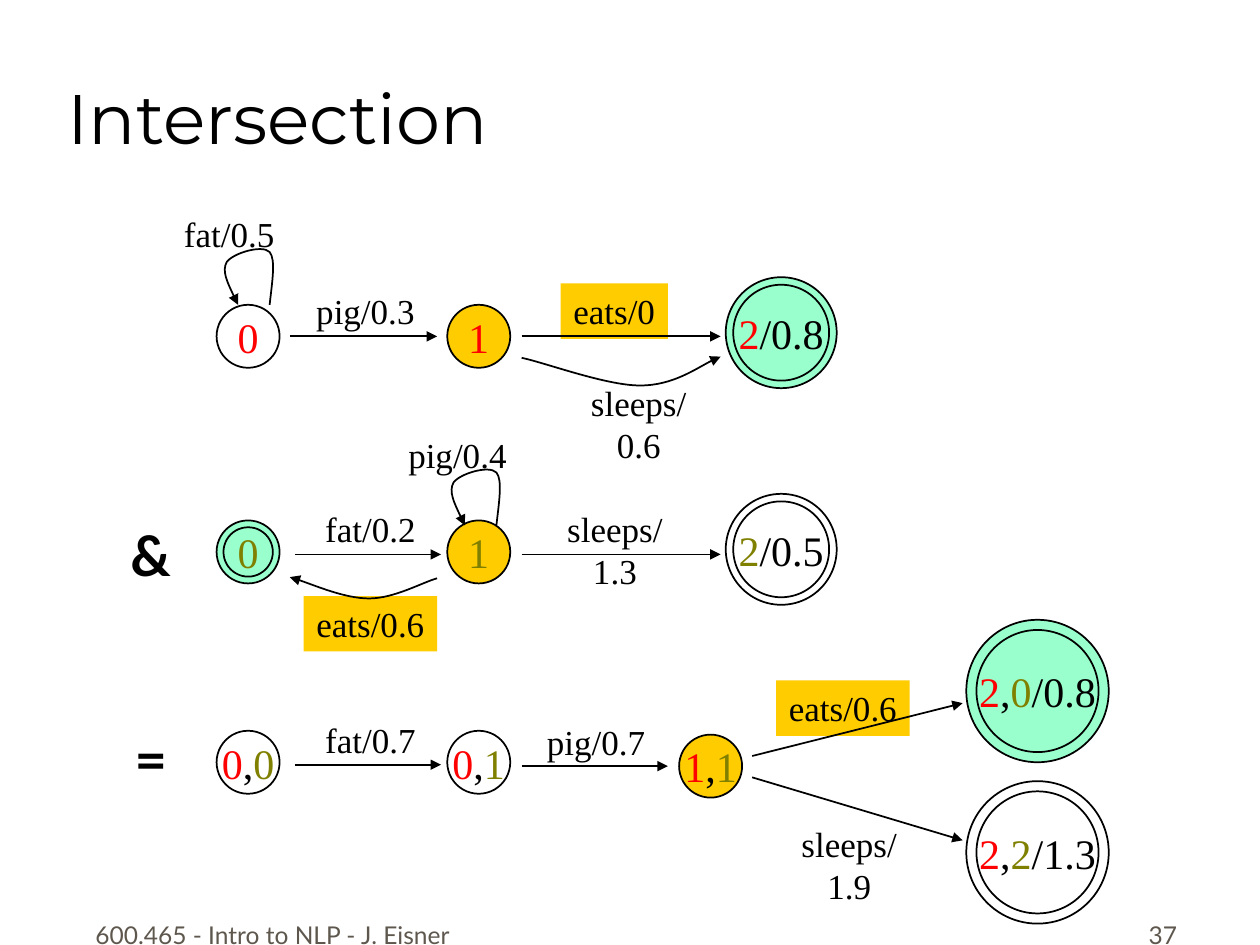
import pptx
import pptx.dml.color
import pptx.enum.shapes
import pptx.enum.text
import pptx.oxml.ns
import pptx.oxml.xmlchemy
import pptx.util

Pt = pptx.util.Pt
qn = pptx.oxml.ns.qn
new_element = pptx.oxml.xmlchemy.OxmlElement
color = pptx.dml.color.RGBColor.from_string
SHAPE = pptx.enum.shapes.MSO_SHAPE
ALIGN = pptx.enum.text.PP_ALIGN
ANCHOR = pptx.enum.text.MSO_ANCHOR
GROW = pptx.enum.text.MSO_AUTO_SIZE.SHAPE_TO_FIT_TEXT

BLACK, RED, OLIVE, GREY = "000000", "FF0000", "808000", "5E574E"
GOLD, MINT = "FFCC00", "99FFCC"

deck = pptx.Presentation()
deck.slide_width, deck.slide_height = Pt(720), Pt(540)
slide = deck.slides.add_slide(deck.slide_layouts[6])
shapes = slide.shapes


def write_text(holder, parts, font, frame, align=ALIGN.CENTER, space_before=0):
    """Write one paragraph of (text, colour) parts."""
    for name, value in frame.items():
        setattr(holder.text_frame, name, value)
    paragraph = holder.text_frame.paragraphs[0]
    paragraph.alignment = align
    paragraph.space_before = Pt(space_before)
    for text, hue in parts:
        run = paragraph.add_run()
        run.text = text
        for name, value in font.items():
            setattr(run.font, name, value)
        run.font.color.rgb = color(hue)


def style_arrow(arrow):
    """Thin black line with a triangle at its end and no shadow."""
    arrow.line.color.rgb = color(BLACK)
    arrow.line.width = Pt(1)
    properties = arrow._element.spPr
    head = new_element("a:tailEnd")
    head.set("type", "triangle")
    properties.find(qn("a:ln")).append(head)
    properties.append(new_element("a:effectLst"))


# Title, footer and operators
BOTTOM = {"word_wrap": True, "vertical_anchor": ANCHOR.BOTTOM}
LABEL = {"word_wrap": False, "auto_size": GROW}
TITLE_FONT = {"name": "Montserrat", "size": Pt(40)}
FOOTER_FONT = {"name": "Lato", "size": Pt(14)}
OPERATOR_FONT = {"name": "Lato", "size": Pt(32), "bold": True}
for text, box, font, frame, hue, align, space in [
    ("Intersection", (31.7, 4.3, 612, 90), TITLE_FONT, BOTTOM, BLACK, ALIGN.LEFT, 0),
    ("600.465 - Intro to NLP - J. Eisner", (41.8, 509.8, 228.2, 36),
     FOOTER_FONT, BOTTOM, GREY, ALIGN.CENTER, 8.8),
    ("37", (529.9, 509.8, 149.8, 36), FOOTER_FONT, BOTTOM, GREY, ALIGN.RIGHT, 8.8),
    ("&", (67, 293.8, 38.2, 46.1), OPERATOR_FONT, LABEL, BLACK, ALIGN.CENTER, 0),
    ("=", (69.8, 410.4, 32.4, 46.1), OPERATOR_FONT, LABEL, BLACK, ALIGN.CENTER, 0),
]:
    holder = shapes.add_textbox(*map(Pt, box))
    write_text(holder, [(text, hue)], font, frame, align, space)

# Arc labels: left, top, width; the "eats" arcs are highlighted
ARC_FONT = {"name": "Times New Roman", "size": Pt(20)}
for text, left, top, width in [
    ("fat/0.5", 97.9, 118.1, 66.2),
    ("pig/0.3", 173.5, 162, 70.6),
    ("eats/0", 320.4, 162, 61.2),
    ("sleeps/0.6", 318.2, 214.6, 93.6),
    ("pig/0.4", 226.1, 244.1, 70.6),
    ("fat/0.2", 178.6, 286.6, 66.2),
    ("sleeps/1.3", 304.6, 286.6, 93.6),
    ("eats/0.6", 173.5, 340.6, 76.3),
    ("fat/0.7", 178.6, 406.8, 66.2),
    ("pig/0.7", 305.3, 408.2, 70.6),
    ("eats/0.6", 443.5, 388.8, 76.3),
    ("sleeps/1.9", 438.5, 466.6, 93.6),
]:
    label = shapes.add_textbox(Pt(left), Pt(top), Pt(width), Pt(31.7))
    if text.startswith("eats"):
        label.fill.solid()
        label.fill.fore_color.rgb = color(GOLD)
    write_text(label, [(text, BLACK)], ARC_FONT, LABEL)

# States: centre, diameter, ring gap (final states only), fill, text
STATE_FONT = {"name": "Times New Roman", "size": Pt(24)}
STATE_FRAME = {"word_wrap": False, "vertical_anchor": ANCHOR.MIDDLE}
COMMA = (",", BLACK)
for x, y, diameter, gap, fill, parts in [
    (141.8, 192.2, 36, 0, None, [("0", RED)]),
    (273.6, 192.2, 36, 0, GOLD, [("1", RED)]),
    (446.4, 190.1, 63.4, 4.3, MINT, [("2", RED), ("/0.8", BLACK)]),
    (141.8, 315.4, 36, 3.9, MINT, [("0", OLIVE)]),
    (273.6, 315.4, 36, 0, GOLD, [("1", OLIVE)]),
    (446.4, 313.9, 63.4, 4.3, None, [("2", OLIVE), ("/0.5", BLACK)]),
    (141.8, 435.6, 36, 0, None, [("0", RED), COMMA, ("0", OLIVE)]),
    (273.6, 435.6, 36, 0, None, [("0", RED), COMMA, ("1", OLIVE)]),
    (406.1, 437.8, 36, 0, GOLD, [("1", RED), COMMA, ("1", OLIVE)]),
    (592.9, 394.9, 81.4, 5.8, MINT, [("2", RED), COMMA, ("0", OLIVE), ("/0.8", BLACK)]),
    (592.9, 487.1, 81.4, 5.8, None, [("2", RED), COMMA, ("2", OLIVE), ("/1.3", BLACK)]),
]:
    rings = [diameter, diameter - 2 * gap] if gap else [diameter]
    for ring in rings:
        state = shapes.add_shape(SHAPE.OVAL, Pt(x - ring / 2), Pt(y - ring / 2), Pt(ring), Pt(ring))
        state.shadow.inherit = False
        state.line.color.rgb = color(BLACK)
        state.line.width = Pt(1)
        if fill:
            state.fill.solid()
            state.fill.fore_color.rgb = color(fill)
        else:
            state.fill.background()
    write_text(state, parts, STATE_FONT, STATE_FRAME)

# Straight arcs
for ends in [
    (165.6, 192.2, 249.8, 192.2),
    (298.1, 192.2, 411.8, 192.2),
    (168.5, 316.8, 252, 316.8),
    (298.1, 316.8, 411.8, 316.8),
    (168.5, 437, 252, 437),
    (298.1, 437.8, 381.6, 437.8),
    (429.8, 432, 550.1, 401.8),
    (429.8, 444.2, 550.1, 480.2),
]:
    arc = shapes.add_connector(pptx.enum.shapes.MSO_CONNECTOR.STRAIGHT, *map(Pt, ends))
    style_arrow(arc)

# Curved arcs: start, then Bézier points relative to it, three per segment
SELF_LOOP = [(1.4, -13), (3.6, -25.9), (0, -30.2), (-4.3, -34.6), (-20.9, -29.5),
             (-24.5, -24.5), (-27.4, -19.4), (-23, -10.1), (-18, 0)]
SLEEPS = [(13.7, 2.9), (48.2, 15.8), (67.7, 15.8), (86.4, 15.8), (105.8, 2.1), (113.7, -0.7)]
EATS = [(-7.9, 2.1), (-24.4, 11.5), (-38.8, 11.5), (-52.5, 11.5), (-76.3, 1.4), (-84.2, -0.7)]
for x, y, bends in [
    (154.1, 174.2, SELF_LOOP),
    (283.7, 300.2, SELF_LOOP),
    (298.1, 204.5, SLEEPS),
    (249.8, 330.5, EATS),
]:
    builder = shapes.build_freeform(Pt(x), Pt(y))
    builder.add_line_segments([(Pt(x + dx), Pt(y + dy)) for dx, dy in bends], close=False)
    curve = builder.convert_to_shape()
    curve.fill.background()
    style_arrow(curve)
    # Merge each three line points into one cubic segment
    outline = curve._element.spPr.find(".//" + qn("a:path"))
    steps = outline.findall(qn("a:lnTo"))
    for first in range(0, len(steps), 3):
        cubic = new_element("a:cubicBezTo")
        for step in steps[first:first + 3]:
            cubic.append(step[0])
            outline.remove(step)
        outline.append(cubic)

deck.save("out.pptx")
